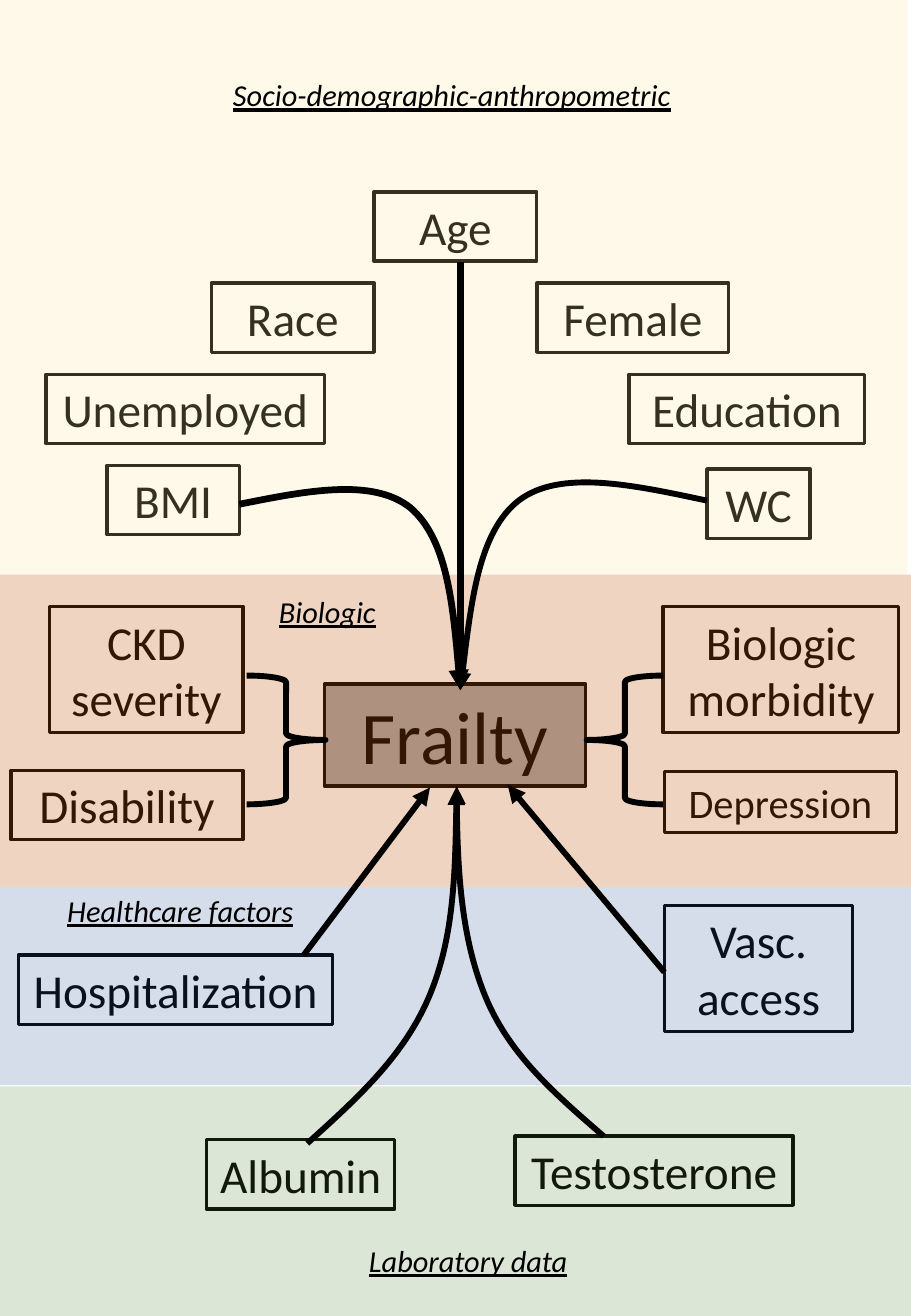
"""Build a one-page diagram of the factors that lead to frailty."""
from dataclasses import dataclass

from lxml import etree
from pptx import Presentation
from pptx import util as u
from pptx.dml.color import RGBColor
from pptx.enum import shapes, text
from pptx.oxml.ns import qn


@dataclass(frozen=True)
class Theme:
    font: str = "Calibri"
    ink: str = "000000"
    core: str = "A6A6A6"
    social: str = "FFE699"
    biologic: str = "C55A11"
    healthcare: str = "2F5597"
    laboratory: str = "548235"
    core_size: int = 44
    factor_size: int = 28
    small_size: int = 24
    heading_size: int = 18


theme = Theme()


def draw_line(shape, width, arrow=False):
    """Give a shape an ink line and, if wanted, an arrowhead at its end."""
    shape.line.color.rgb = RGBColor.from_string(theme.ink)
    shape.line.width = u.Pt(width)
    if arrow:
        line = shape._element.spPr.find(qn("a:ln"))
        etree.SubElement(line, qn("a:tailEnd"), type="triangle")


def write(shape, words, size, align, heading=False):
    """Set and format the single paragraph of a shape."""
    frame = shape.text_frame
    frame.text = words
    frame.word_wrap = True
    frame.auto_size = text.MSO_AUTO_SIZE.SHAPE_TO_FIT_TEXT
    para = frame.paragraphs[0]
    para.alignment = align
    font = para.runs[0].font
    font.name, font.size = theme.font, u.Pt(size)
    font.color.rgb = RGBColor.from_string(theme.ink)
    if heading:
        font.italic = font.underline = True


deck = Presentation()
deck.slide_width, deck.slide_height = u.Inches(7.5), u.Inches(10.83)
page = deck.slides.add_slide(deck.slide_layouts[6])
kinds = shapes.MSO_SHAPE
center, left = text.PP_ALIGN.CENTER, text.PP_ALIGN.LEFT

one_line, two_lines = 0.57, 1.04
factors = [
    ("Frailty", 2.67, 5.63, 2.15, 0.84, theme.core_size),
    ("Age", 3.08, 1.58, 1.34, one_line, theme.factor_size),
    ("Female", 4.42, 2.33, 1.58, one_line, theme.factor_size),
    ("Race", 1.74, 2.33, 1.34, one_line, theme.factor_size),
    ("Unemployed", 0.38, 3.08, 2.29, one_line, theme.factor_size),
    ("Education", 5.18, 3.08, 1.94, one_line, theme.factor_size),
    ("BMI", 0.88, 3.83, 1.09, one_line, theme.factor_size),
    ("WC", 5.82, 3.86, 0.85, one_line, theme.factor_size),
    ("CKD severity", 0.41, 4.99, 1.59, two_lines, theme.factor_size),
    ("Biologic morbidity", 5.46, 4.99, 1.94, two_lines, theme.factor_size),
    ("Depression", 5.47, 6.35, 1.91, 0.5, theme.small_size),
    ("Disability", 0.09, 6.34, 1.91, one_line, theme.factor_size),
    ("Hospitalization", 0.15, 7.86, 2.59, one_line, theme.factor_size),
    ("Vasc. access", 5.47, 7.45, 1.55, two_lines, theme.factor_size),
    ("Albumin", 1.7, 9.38, 1.55, one_line, theme.factor_size),
    ("Testosterone", 4.24, 9.35, 2.29, one_line, theme.factor_size),
]
for name, *place, size in factors:
    box = page.shapes.add_shape(kinds.RECTANGLE, *map(u.Inches, place))
    box.shadow.inherit = False
    if name == "Frailty":
        box.fill.solid()
        box.fill.fore_color.rgb = RGBColor.from_string(theme.core)
    else:
        box.fill.background()
    draw_line(box, 2)
    write(box, name, size, center)

bands = [
    (theme.social, 21, -0.03, -0.03, 4.76),
    (theme.biologic, 26, 0, 4.73, 2.57),
    (theme.healthcare, 20, 0, 7.3, 1.63),
    (theme.laboratory, 20, 0, 8.94, 1.9),
]
for color, opacity, x, y, height in bands:
    band = page.shapes.add_shape(
        kinds.RECTANGLE, u.Inches(x), u.Inches(y), deck.slide_width, u.Inches(height))
    band.shadow.inherit = False
    band.line.fill.background()
    band.fill.solid()
    band.fill.fore_color.rgb = RGBColor.from_string(color)
    tint = band._element.spPr.find(qn("a:solidFill"))[0]
    etree.SubElement(tint, qn("a:alpha"), val=str(opacity * 1000))

headings = [
    ("Socio-demographic-anthropometric", 1.82, 0.58, 4.33, left),
    ("Biologic", 1.62, 4.83, 2.15, center),
    ("Healthcare factors", 0.41, 7.29, 2.15, center),
    ("Laboratory data", 2.78, 10.17, 2.15, center),
]
for words, x, y, width, align in headings:
    heading = page.shapes.add_textbox(*map(u.Inches, (x, y, width, 0.4)))
    write(heading, words, theme.heading_size, align, heading=True)

curves = [
    (4, [(1.97, 4.15), (2.52, 4.04), (3.07, 3.93), (3.38, 4.18),
         (3.68, 4.44), (3.74, 5.06), (3.79, 5.68)]),
    (3.5, [(5.82, 4.12), (5.21, 3.99), (4.61, 3.86), (4.27, 4.12),
           (3.94, 4.38), (3.87, 5.03), (3.79, 5.68)]),
    (3.5, [(4.97, 9.35), (4.59, 9.02), (4.2, 8.69), (4, 8.21),
           (3.8, 7.73), (3.76, 7.1), (3.76, 6.47)]),
    (3.5, [(2.53, 9.41), (2.93, 9.05), (3.32, 8.7), (3.53, 8.21),
           (3.74, 7.72), (3.75, 7.1), (3.76, 6.48)]),
]
for width, points in curves:
    start, *rest = [(u.Inches(x), u.Inches(y)) for x, y in points]
    builder = page.shapes.build_freeform(*start)
    builder.add_line_segments(rest, close=False)
    curve = builder.convert_to_shape()
    outline = next(curve._element.iter(qn("a:path")))
    steps = outline.findall(qn("a:lnTo"))
    for first in range(0, len(steps), 3):
        bend = etree.SubElement(outline, qn("a:cubicBezTo"))
        for step in steps[first:first + 3]:
            bend.append(step[0])
            outline.remove(step)
    curve.shadow.inherit = False
    curve.fill.background()
    draw_line(curve, width, arrow=True)

braces = [(kinds.RIGHT_BRACE, 2.03, 0.65), (kinds.LEFT_BRACE, 4.83, 0.63)]
for kind, x, width in braces:
    brace = page.shapes.add_shape(kind, *map(u.Inches, (x, 5.56, width, 1.06)))
    brace.shadow.inherit = False
    brace.fill.background()
    draw_line(brace, 3.5)

links = [
    (4, False, 3.79, 2.16, 3.79, 5.63),
    (3.5, True, 2.5, 7.86, 3.54, 6.48),
    (3.5, True, 5.47, 8, 4.18, 6.46),
]
for width, arrow, *ends in links:
    link = page.shapes.add_connector(shapes.MSO_CONNECTOR.STRAIGHT, *map(u.Inches, ends))
    draw_line(link, width, arrow)
    etree.SubElement(link._element.spPr, qn("a:effectLst"))

deck.save("out.pptx")
